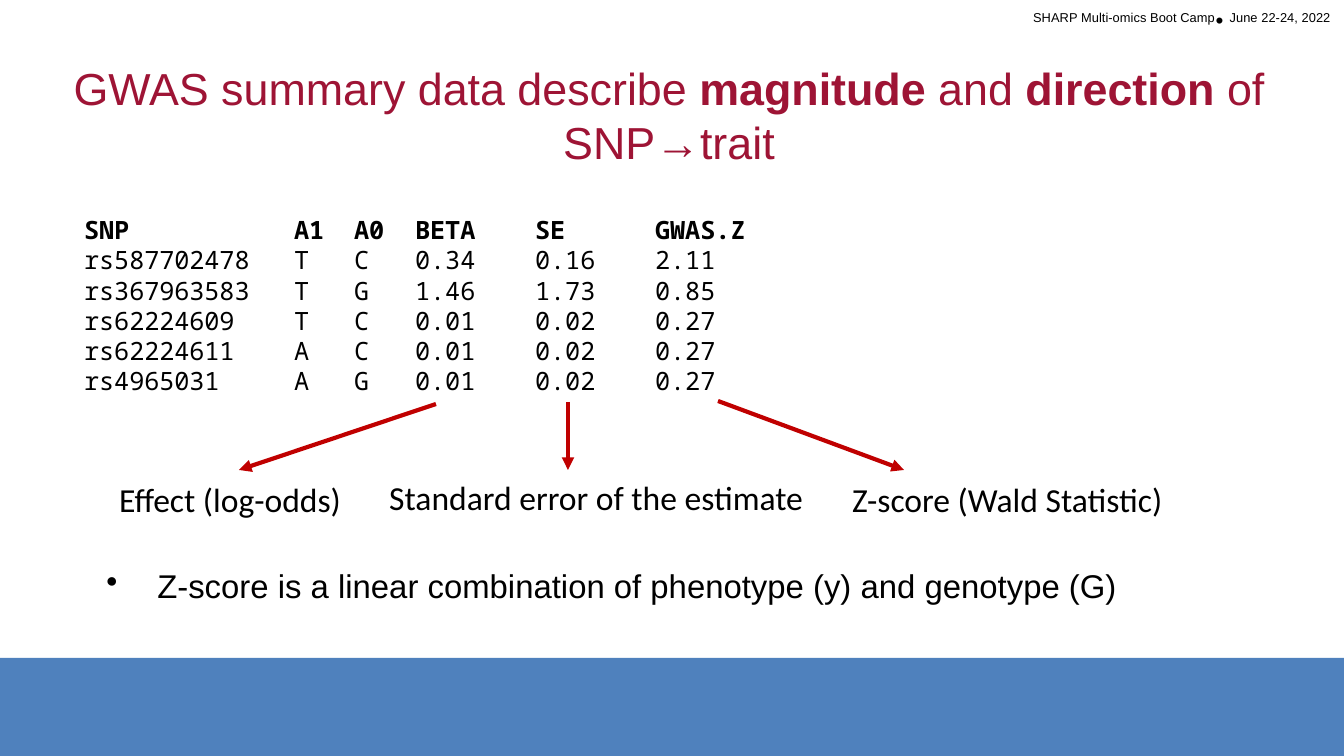
from dataclasses import dataclass
from typing import NamedTuple

from lxml import etree
from pptx import Presentation
from pptx import util as u
from pptx.dml.color import RGBColor
from pptx.enum import shapes, text
from pptx.oxml.ns import qn

EMU_PER_PX = 914400 / 134.4


@dataclass(frozen=True)
class Theme:
    band: str = "4F81BD"
    title: str = "9E1435"
    ink: str = "000000"
    arrow: str = "C00000"
    sans: str = "Arial"
    label_font: str = "Calibri"
    mono: str = "Noto Sans Mono"
    header_size: float = 12
    title_size: float = 24
    data_size: float = 13.5
    label_size: float = 18
    body_size: float = 17.6
    arrow_width: float = 2.25


class Box(NamedTuple):
    x: int
    y: int
    w: int
    h: int


class Run(NamedTuple):
    text: str
    bold: bool = False
    raised: bool = False


class Callout(NamedTuple):
    label: str
    box: Box
    start: tuple[int, int]
    end: tuple[int, int]


THEME = Theme()

HEADER = [
    Run("SHARP Multi-omics Boot Camp", raised=True),
    Run("• "),
    Run("June 22-24, 2022", raised=True),
]
TITLE = [
    Run("GWAS summary data describe "),
    Run("magnitude", bold=True),
    Run(" and "),
    Run("direction", bold=True),
    Run(" of SNP→trait"),
]
DATA_TABS = (210, 270, 331, 451, 571)
DATA = [
    ("SNP", "A1", "A0", "BETA", "SE", "GWAS.Z"),
    ("rs587702478", "T", "C", "0.34", "0.16", "2.11"),
    ("rs367963583", "T", "G", "1.46", "1.73", "0.85"),
    ("rs62224609", "T", "C", "0.01", "0.02", "0.27"),
    ("rs62224611", "A", "C", "0.01", "0.02", "0.27"),
    ("rs4965031", "A", "G", "0.01", "0.02", "0.27"),
]
CALLOUTS = [
    Callout("Effect (log-odds)", Box(106, 472, 253, 54), (436, 404), (239, 470)),
    Callout("Standard error of the estimate", Box(376, 470, 446, 54), (568, 402), (568, 470)),
    Callout("Z-score (Wald Statistic)", Box(839, 472, 341, 54), (718, 401), (904, 470)),
]
POINT = "Z-score is a linear combination of phenotype (y) and genotype (G)"


def px(n: int) -> u.Emu:
    return u.Emu(round(n * EMU_PER_PX))


def add_text(s, box: Box, paragraphs: list[list[Run]], *, size: float,
             font: str = THEME.sans, color: str = THEME.ink,
             align=text.PP_ALIGN.LEFT, anchor=text.MSO_ANCHOR.TOP,
             wrap: bool = True, tabs: tuple[int, ...] = (),
             bullet: str = "", indent: int = 0) -> None:
    tf = s.shapes.add_textbox(*map(px, box)).text_frame
    tf.word_wrap = wrap
    tf.vertical_anchor = anchor
    for i, runs in enumerate(paragraphs):
        p = tf.paragraphs[0] if i == 0 else tf.add_paragraph()
        p.alignment = align
        pPr = p._p.get_or_add_pPr()
        if bullet:
            pPr.set("marL", str(px(indent)))
            pPr.set("indent", str(-px(indent)))
            etree.SubElement(pPr, qn("a:buChar"), char=bullet)
        if tabs:
            tab_list = etree.SubElement(pPr, qn("a:tabLst"))
            for tab in tabs:
                etree.SubElement(tab_list, qn("a:tab"), pos=str(px(tab)), algn="l")
        for run in runs:
            r = p.add_run()
            r.text = run.text
            r.font.name = font
            r.font.size = u.Pt(size)
            r.font.bold = run.bold
            r.font.color.rgb = RGBColor.from_string(color)
            if run.raised:
                r.font._element.set("baseline", "30000")


def add_band(s, box: Box) -> None:
    band = s.shapes.add_shape(shapes.MSO_SHAPE.RECTANGLE, *map(px, box))
    band.shadow.inherit = False
    band.fill.solid()
    band.fill.fore_color.rgb = RGBColor.from_string(THEME.band)
    band.line.fill.background()


def add_arrow(s, start: tuple[int, int], end: tuple[int, int]) -> None:
    arrow = s.shapes.add_connector(shapes.MSO_CONNECTOR.STRAIGHT, *map(px, start + end))
    arrow.line.color.rgb = RGBColor.from_string(THEME.arrow)
    arrow.line.width = u.Pt(THEME.arrow_width)
    etree.SubElement(arrow.line._get_or_add_ln(), qn("a:tailEnd"), type="triangle")
    etree.SubElement(arrow._element.spPr, qn("a:effectLst"))


def main() -> None:
    prs = Presentation()
    prs.slide_width, prs.slide_height = px(1344), px(756)
    s = prs.slides.add_slide(prs.slide_layouts[6])

    add_band(s, Box(0, 658, 1344, 98))
    add_text(s, Box(812, 0, 532, 40), [HEADER], size=THEME.header_size,
             align=text.PP_ALIGN.RIGHT)
    add_text(s, Box(39, 41, 1260, 147), [TITLE], size=THEME.title_size,
             color=THEME.title, align=text.PP_ALIGN.CENTER,
             anchor=text.MSO_ANCHOR.MIDDLE)
    rows = [[Run("\t".join(row), bold=i == 0)] for i, row in enumerate(DATA)]
    add_text(s, Box(71, 208, 728, 196), rows, size=THEME.data_size,
             font=THEME.mono, tabs=DATA_TABS)
    for callout in CALLOUTS:
        add_text(s, callout.box, [[Run(callout.label)]], size=THEME.label_size,
                 font=THEME.label_font, wrap=False)
    for callout in CALLOUTS:
        add_arrow(s, callout.start, callout.end)
    add_text(s, Box(93, 559, 1158, 73), [[Run(POINT)]], size=THEME.body_size,
             bullet="•", indent=51)

    prs.save("out.pptx")


if __name__ == "__main__":
    main()
